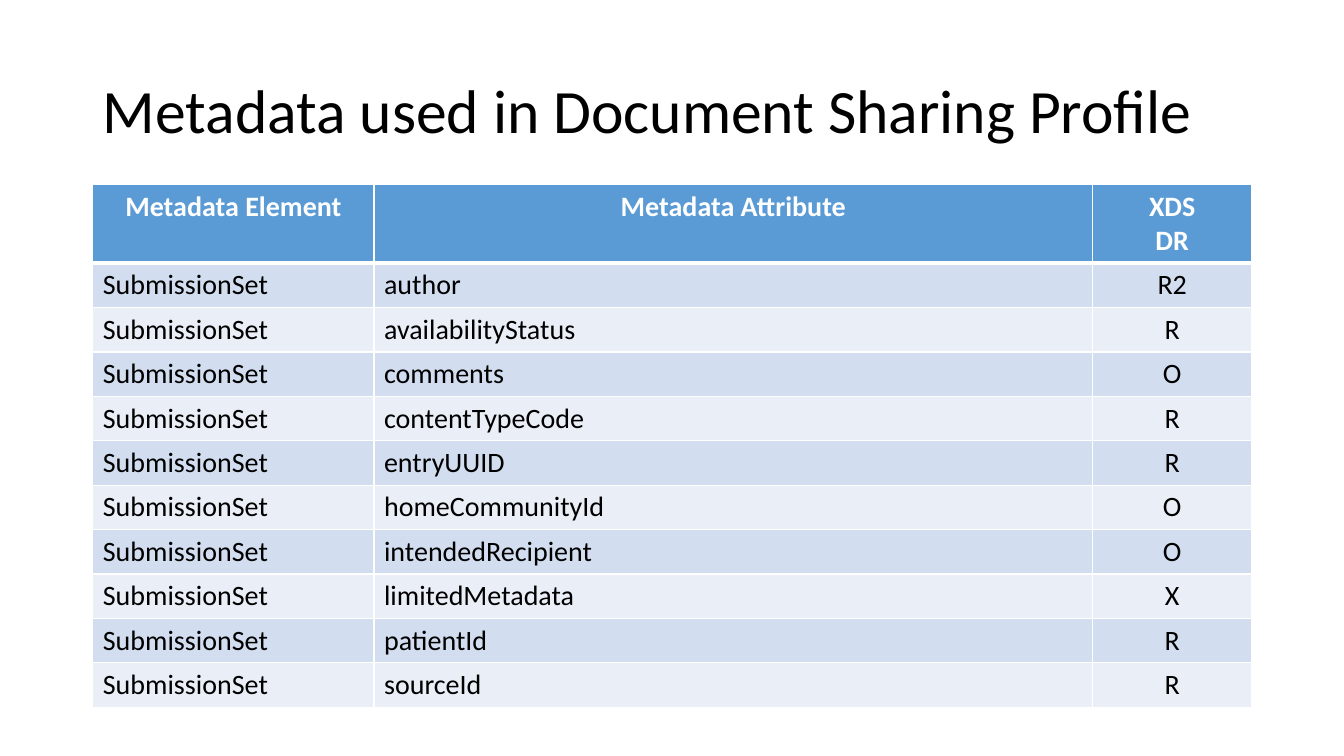
from dataclasses import dataclass

from lxml import etree
from pptx import Presentation
from pptx.dml.color import RGBColor
from pptx.enum import text
from pptx.oxml import ns
from pptx.table import _Cell
from pptx.util import Pt

WHITE = RGBColor(0xFF, 0xFF, 0xFF)
BLACK = RGBColor(0x00, 0x00, 0x00)
HEADER_BLUE = RGBColor(0x5B, 0x9B, 0xD5)
BAND_DARK = RGBColor(0xD2, 0xDE, 0xEF)
BAND_LIGHT = RGBColor(0xEA, 0xEF, 0xF7)

FONT = "Calibri"
LEFT, WIDTH = Pt(66.24), Pt(828)
COLUMN_WIDTHS = (Pt(200.9), Pt(513.3), Pt(113.8))
HEADER_HEIGHT, ROW_HEIGHT = Pt(46), Pt(29.5)
THIN, THICK = Pt(1), Pt(3)
CENTERED_COLUMN = 2

HEADINGS = ("Metadata Element", "Metadata Attribute", "XDS\nDR")
ELEMENT = "SubmissionSet"


@dataclass(frozen=True)
class Attribute:
    name: str
    requirement: str


ATTRIBUTES = (
    Attribute("author", "R2"),
    Attribute("availabilityStatus", "R"),
    Attribute("comments", "O"),
    Attribute("contentTypeCode", "R"),
    Attribute("entryUUID", "R"),
    Attribute("homeCommunityId", "O"),
    Attribute("intendedRecipient", "O"),
    Attribute("limitedMetadata", "X"),
    Attribute("patientId", "R"),
    Attribute("sourceId", "R"),
)


@dataclass(frozen=True)
class CellStyle:
    fill: RGBColor
    color: RGBColor
    bold: bool
    top: int = THIN
    bottom: int = THIN


def add_borders(cell: _Cell, style: CellStyle) -> None:
    properties = cell._tc.get_or_add_tcPr()
    widths = {"lnL": THIN, "lnR": THIN, "lnT": style.top, "lnB": style.bottom}
    for side, width in widths.items():
        line = etree.SubElement(properties, ns.qn(f"a:{side}"), w=str(width))
        fill = etree.SubElement(line, ns.qn("a:solidFill"))
        etree.SubElement(fill, ns.qn("a:srgbClr"), val=str(WHITE))


def fill_cell(cell: _Cell, words: str, style: CellStyle, centered: bool) -> None:
    add_borders(cell, style)
    cell.fill.solid()
    cell.fill.fore_color.rgb = style.fill
    cell.text = words
    for para in cell.text_frame.paragraphs:
        para.alignment = text.PP_ALIGN.CENTER if centered else text.PP_ALIGN.LEFT
        para.font.name = FONT
        para.font.size = Pt(20)
        para.font.bold = style.bold
        para.font.color.rgb = style.color


def add_title(page, words: str) -> None:
    title = page.shapes.title
    title.left, title.top, title.width, title.height = LEFT, Pt(28.8), WIDTH, Pt(104.4)
    frame = title.text_frame
    frame.text = words
    frame.word_wrap = True
    frame.auto_size = text.MSO_AUTO_SIZE.NONE
    frame.vertical_anchor = text.MSO_ANCHOR.MIDDLE
    para = frame.paragraphs[0]
    para.alignment = text.PP_ALIGN.LEFT
    para.line_spacing = 0.9
    para.font.name = FONT
    para.font.size = Pt(44)
    para.font.color.rgb = BLACK


def row_style(number: int) -> CellStyle:
    if number == 0:
        return CellStyle(HEADER_BLUE, WHITE, True, bottom=THICK)
    band = BAND_DARK if number % 2 else BAND_LIGHT
    return CellStyle(band, BLACK, False, top=THICK if number == 1 else THIN)


def add_metadata_table(page) -> None:
    rows = [HEADINGS] + [(ELEMENT, item.name, item.requirement) for item in ATTRIBUTES]
    height = HEADER_HEIGHT + ROW_HEIGHT * len(ATTRIBUTES)
    table = page.shapes.add_table(
        len(rows), len(HEADINGS), LEFT, Pt(131.76), WIDTH, height
    ).table
    for column, width in zip(table.columns, COLUMN_WIDTHS):
        column.width = width
    for number, values in enumerate(rows):
        table.rows[number].height = ROW_HEIGHT if number else HEADER_HEIGHT
        style = row_style(number)
        for index, words in enumerate(values):
            centered = number == 0 or index == CENTERED_COLUMN
            fill_cell(table.cell(number, index), words, style, centered)


def main() -> None:
    deck = Presentation()
    deck.slide_width, deck.slide_height = Pt(960), Pt(540)
    page = deck.slides.add_slide(deck.slide_layouts.get_by_name("Title Only"))
    add_title(page, "Metadata used in Document Sharing Profile")
    add_metadata_table(page)
    deck.save("out.pptx")


if __name__ == "__main__":
    main()
